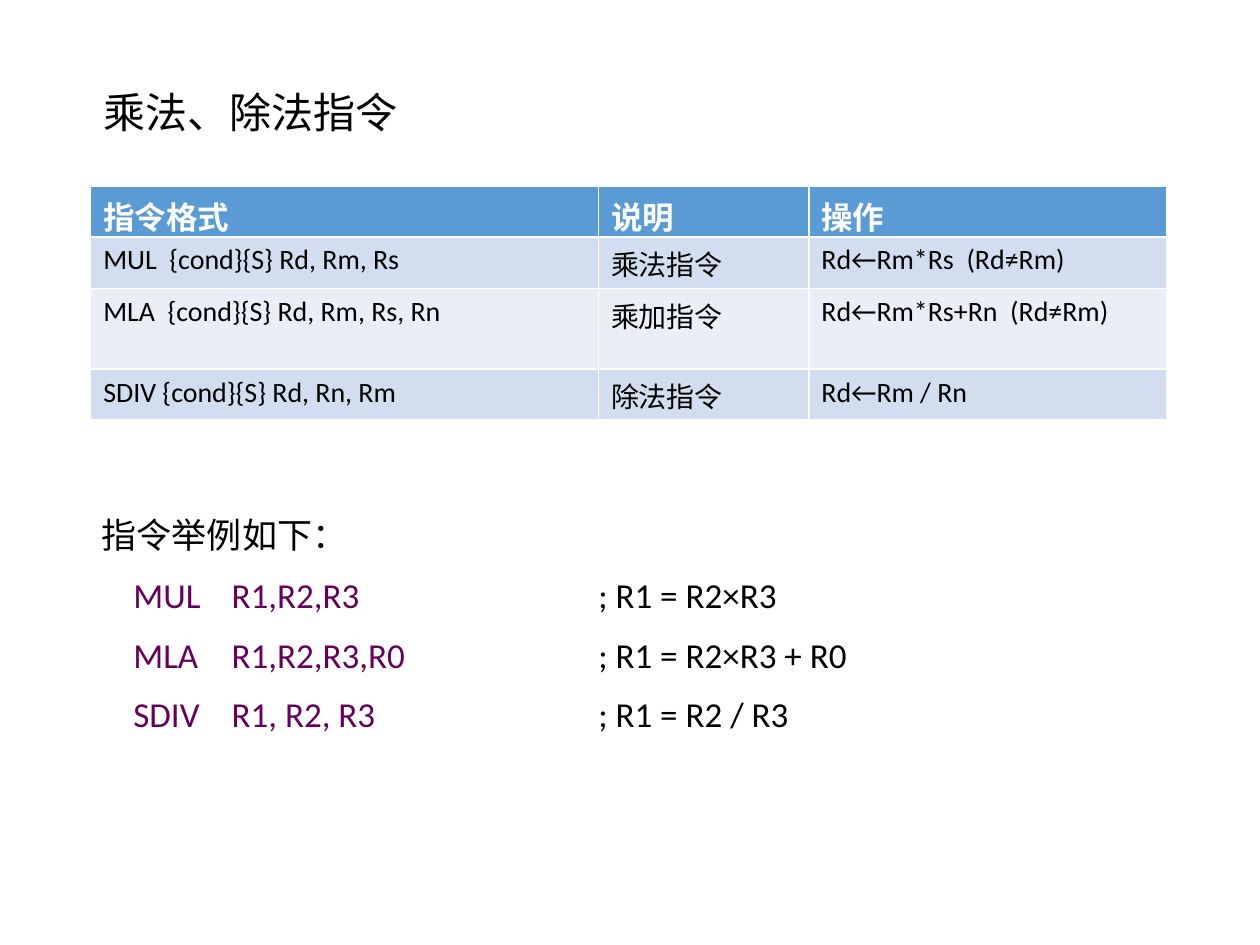
from lxml import etree
from pptx import Presentation
from pptx.dml.color import RGBColor
from pptx.enum.text import MSO_ANCHOR
from pptx.oxml.ns import qn
from pptx.util import Inches, Pt

MIDDLE = MSO_ANCHOR.MIDDLE
LATIN_FONT = "Calibri"
CHINESE_FONT = "Noto Sans CJK SC"
COLORS = {
    "text": "000000",
    "code": "66005C",
    "header_text": "FFFFFF",
    "header": "5B9BD5",
    "band_dark": "D2DEEF",
    "band_light": "EAEFF7",
}
TITLE = "乘法、除法指令"
COLUMN_WIDTHS = [4.03, 1.67, 2.84]
ROW_HEIGHTS = [0.4, 0.41, 0.64, 0.4]
INSTRUCTIONS = [
    ["指令格式", "说明", "操作"],
    ["MUL  {cond}{S} Rd, Rm, Rs", "乘法指令", "Rd←Rm*Rs  (Rd≠Rm)"],
    ["MLA  {cond}{S} Rd, Rm, Rs, Rn", "乘加指令", "Rd←Rm*Rs+Rn  (Rd≠Rm)"],
    ["SDIV {cond}{S} Rd, Rn, Rm", "除法指令", "Rd←Rm / Rn"],
]
EXAMPLES_HEADING = "指令举例如下："
EXAMPLES = [
    ("MUL", "R1,R2,R3", "; R1 = R2×R3"),
    ("MLA", "R1,R2,R3,R0", "; R1 = R2×R3 + R0"),
    ("SDIV", "R1, R2, R3", "; R1 = R2 / R3"),
]
EXAMPLE_TABS = [0.25, 1.03, 3.94]


def add_run(paragraph, text, size, color="text", bold=False, font=LATIN_FONT):
    """Add one formatted run with its Latin and Chinese fonts."""
    run = paragraph.add_run()
    run.text = text
    run.font.size = Pt(size)
    run.font.bold = bold
    run.font.name = font
    run.font.color.rgb = RGBColor.from_string(COLORS[color])
    east_asian = etree.SubElement(run.font._element, qn("a:ea"))
    east_asian.set("typeface", CHINESE_FONT)


def add_text_frame(slide, left, top, width, height):
    """Add a wrapping text box and return its text frame."""
    shape = slide.shapes.add_textbox(Inches(left), Inches(top), Inches(width), Inches(height))
    shape.text_frame.word_wrap = True
    return shape.text_frame


def add_tab_stops(paragraph, positions):
    """Set left tab stops, in inches, on a paragraph."""
    tab_list = etree.SubElement(paragraph._p.get_or_add_pPr(), qn("a:tabLst"))
    for position in positions:
        etree.SubElement(tab_list, qn("a:tab"), pos=str(Inches(position)), algn="l")


def add_title(slide, left, top, width, height):
    """Place the slide title."""
    text_frame = add_text_frame(slide, left, top, width, height)
    text_frame.vertical_anchor = MIDDLE
    add_run(text_frame.paragraphs[0], TITLE, 24, font=CHINESE_FONT)


def add_instruction_table(slide, left, top):
    """Place the banded table of instruction formats."""
    table = slide.shapes.add_table(
        len(ROW_HEIGHTS), len(COLUMN_WIDTHS), Inches(left), Inches(top),
        Inches(sum(COLUMN_WIDTHS)), Inches(sum(ROW_HEIGHTS)),
    ).table
    for column, width in zip(table.columns, COLUMN_WIDTHS):
        column.width = Inches(width)
    for index, (row, height, texts) in enumerate(zip(table.rows, ROW_HEIGHTS, INSTRUCTIONS)):
        row.height = Inches(height)
        is_header = index == 0
        band = "header" if is_header else "band_dark" if index % 2 else "band_light"
        for cell, text in zip(row.cells, texts):
            cell.fill.solid()
            cell.fill.fore_color.rgb = RGBColor.from_string(COLORS[band])
            add_run(
                cell.text_frame.paragraphs[0], text, 18 if is_header else 16,
                "header_text" if is_header else "text", is_header,
            )


def add_examples(slide, left, top, width, height):
    """Place the heading and the aligned code examples."""
    text_frame = add_text_frame(slide, left, top, width, height)
    heading = text_frame.paragraphs[0]
    heading.space_before = Pt(10)
    add_run(heading, EXAMPLES_HEADING, 20)
    for mnemonic, operands, comment in EXAMPLES:
        paragraph = text_frame.add_paragraph()
        paragraph.space_before = Pt(10)
        add_tab_stops(paragraph, EXAMPLE_TABS)
        add_run(paragraph, f"\t{mnemonic}\t{operands}\t", 20, "code")
        add_run(paragraph, comment, 20)


def main():
    """Build and save the presentation."""
    presentation = Presentation()
    presentation.slide_width = Inches(10)
    presentation.slide_height = Inches(7.5)
    slide = presentation.slides.add_slide(presentation.slide_layouts[6])
    add_title(slide, 0.72, 0.64, 5.78, 0.5)
    add_instruction_table(slide, 0.72, 1.48)
    add_examples(slide, 0.71, 4.03, 9.25, 1.95)
    presentation.save("out.pptx")


if __name__ == "__main__":
    main()
